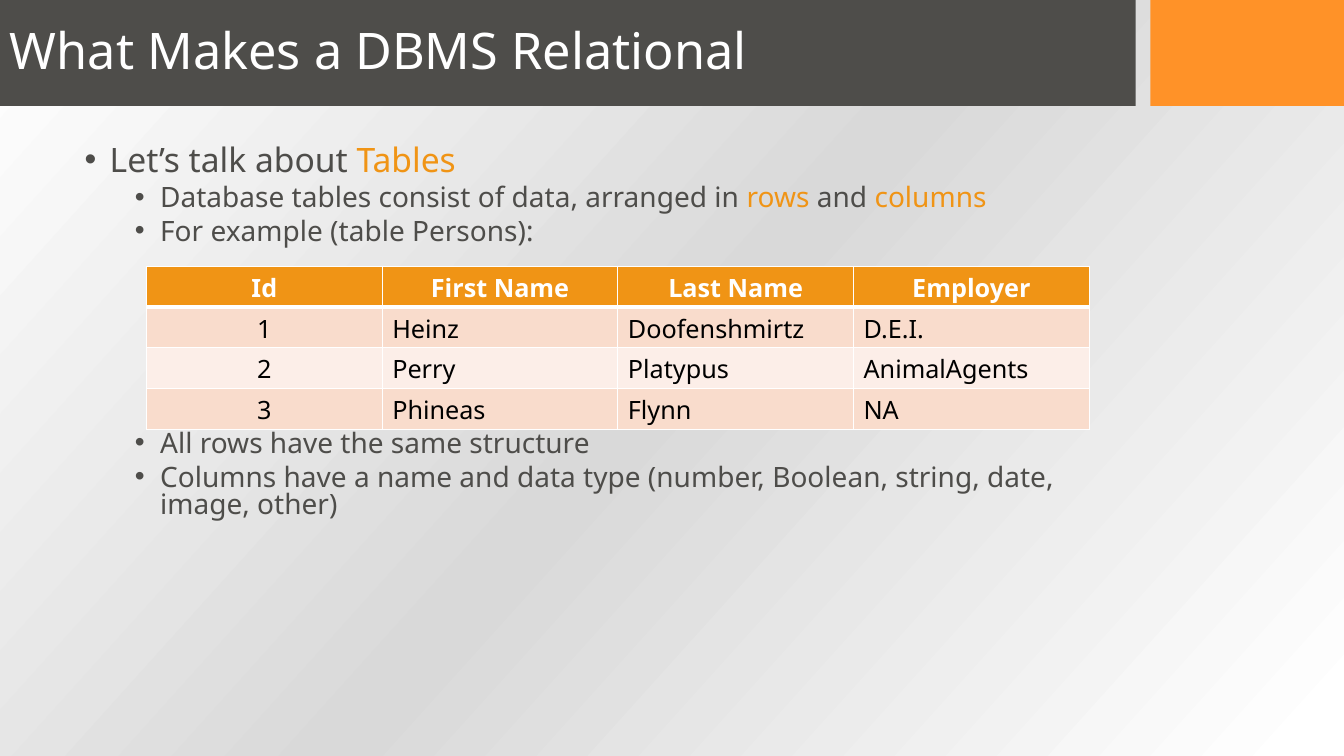
from pptx import Presentation
from pptx.util import Inches, Pt
from pptx.dml.color import RGBColor as RGB
from pptx.enum.shapes import MSO_SHAPE as SHAPE
from pptx.enum.text import MSO_ANCHOR as ANCHOR, PP_ALIGN as ALIGN
from pptx.oxml.ns import qn
from lxml.etree import SubElement

COLORS = {"dark": "4E4D4A", "bar": "FF9228", "accent": "F09415", "white": "FFFFFF",
          "black": "000000", "grey": "D9D9D9", "odd": "F9DCCC", "even": "FCEEE8"}
FONT = "Noto Sans"
TABLE_GAP = 132  # points left free for the table between two bullets

# Each bullet: level, space before, runs of (text, color)
BULLETS = [
    (0, 0, [("Let’s talk about ", "dark"), ("Tables", "accent")]),
    (1, 5, [("Database tables consist of data, arranged in ", "dark"), ("rows", "accent"),
            (" and ", "dark"), ("columns", "accent")]),
    (1, 5, [("For example (table Persons):", "dark")]),
    (1, TABLE_GAP, [("All rows have the same structure", "dark")]),
    (1, 5, [("Columns have a name and data type "
             "(number, Boolean, string, date, image, other)", "dark")]),
]
PERSONS = [
    ("Id", "First Name", "Last Name", "Employer"),
    ("1", "Heinz", "Doofenshmirtz", "D.E.I."),
    ("2", "Perry", "Platypus", "AnimalAgents"),
    ("3", "Phineas", "Flynn", "NA"),
]


def assign(obj, **values):
    """Set attributes of an object from a dict of format values."""
    for name, value in values.items():
        setattr(obj, name, value)


class Deck:
    """Holds the style and the current slide; lengths are percent of its size."""

    def __init__(self, prs):
        """Add a blank slide to the presentation."""
        self.w, self.h = prs.slide_width, prs.slide_height
        self.s = prs.slides.add_slide(prs.slide_layouts[6])

    def box(self, x, y, w, h):
        """Turn percentages into lengths."""
        return [int(share * size / 100)
                for share, size in zip((x, y, w, h), (self.w, self.h) * 2)]

    def background(self, stops, angle):
        """Fill the background with a linear gradient, angle clockwise."""
        fill = self.s.background.fill
        fill.gradient()
        fill.gradient_angle = 360 - angle
        gs_list = self.s.element.find(".//" + qn("a:gsLst"))
        for gs in list(gs_list):
            gs_list.remove(gs)
        for pos, color in stops:
            gs = SubElement(gs_list, qn("a:gs"), pos=str(pos * 1000))
            SubElement(gs, qn("a:srgbClr"), val=COLORS[color])

    def bar(self, color, *box):
        """Draw a plain rectangle."""
        sp = self.s.shapes.add_shape(SHAPE.RECTANGLE, *self.box(*box))
        sp.shadow.inherit = False
        sp.fill.solid()
        sp.fill.fore_color.rgb = RGB.from_string(COLORS[color])
        sp.line.fill.background()

    def run(self, p, text, size, color, bold=False):
        """Add a styled run to a paragraph."""
        r = p.add_run()
        r.text = text
        assign(r.font, name=FONT, size=Pt(size), bold=bold)
        r.font.color.rgb = RGB.from_string(COLORS[color])

    def text(self, *box):
        """Add a wrapping text box and return its text frame."""
        tf = self.s.shapes.add_textbox(*self.box(*box)).text_frame
        tf.word_wrap = True
        return tf

    def title(self, text, *box):
        """Add the title, centred vertically in its box."""
        tf = self.text(*box)
        tf.vertical_anchor = ANCHOR.MIDDLE
        p = tf.paragraphs[0]
        p.line_spacing = 0.9
        self.run(p, text, 36, "white")

    def bullets(self, items, *box):
        """Add a two-level bulleted list."""
        tf = self.text(*box)
        for i, (level, before, runs) in enumerate(items):
            p = tf.add_paragraph() if i else tf.paragraphs[0]
            assign(p, level=level, line_spacing=0.8, space_before=Pt(before))
            pPr = p._p.get_or_add_pPr()
            pPr.set("marL", str(Inches(0.25 + 0.5 * level)))
            pPr.set("indent", str(Inches(-0.25)))
            SubElement(pPr, qn("a:buFont"), typeface="Arial")
            SubElement(pPr, qn("a:buChar"), char="•")
            for text, color in runs:
                self.run(p, text, 24 - 4 * level, color)

    def borders(self, cell, top, bottom):
        """Give a cell white borders, 1 pt at the sides."""
        tcPr = cell._tc.get_or_add_tcPr()
        for side, width in zip("LRTB", (1, 1, top, bottom)):
            ln = SubElement(tcPr, qn("a:ln" + side), w=str(Pt(width)))
            fill = SubElement(ln, qn("a:solidFill"))
            SubElement(fill, qn("a:srgbClr"), val=COLORS["white"])

    def table(self, rows, *box):
        """Add a banded table with a header row and a centred first column."""
        shape = self.s.shapes.add_table(len(rows), len(rows[0]), *self.box(*box))
        for i, row in enumerate(rows):
            head = i == 0
            band = "accent" if head else "odd" if i % 2 else "even"
            for j, text in enumerate(row):
                cell = shape.table.cell(i, j)
                self.borders(cell, 3 if i == 1 else 1, 3 if head else 1)
                cell.fill.solid()
                cell.fill.fore_color.rgb = RGB.from_string(COLORS[band])
                p = cell.text_frame.paragraphs[0]
                assign(p, line_spacing=0.95,
                       alignment=ALIGN.CENTER if head or j == 0 else ALIGN.LEFT)
                self.run(p, text, 18, "white" if head else "black", head)


prs = Presentation()
assign(prs, slide_width=Inches(13.33), slide_height=Inches(7.5))
deck = Deck(prs)
deck.background([(0, "white"), (50, "grey"), (98, "white")], 42)
deck.bar("dark", 0, 0, 84.5, 14)
deck.bar("bar", 85.6, 0, 14.4, 14)
deck.bullets(BULLETS, 5.55, 18.8, 78.85, 73.2)
deck.title("What Makes a DBMS Relational", 0, 0, 84.5, 14)
deck.table(PERSONS, 10.9, 35.2, 70.15, 21.6)
prs.save("out.pptx")
